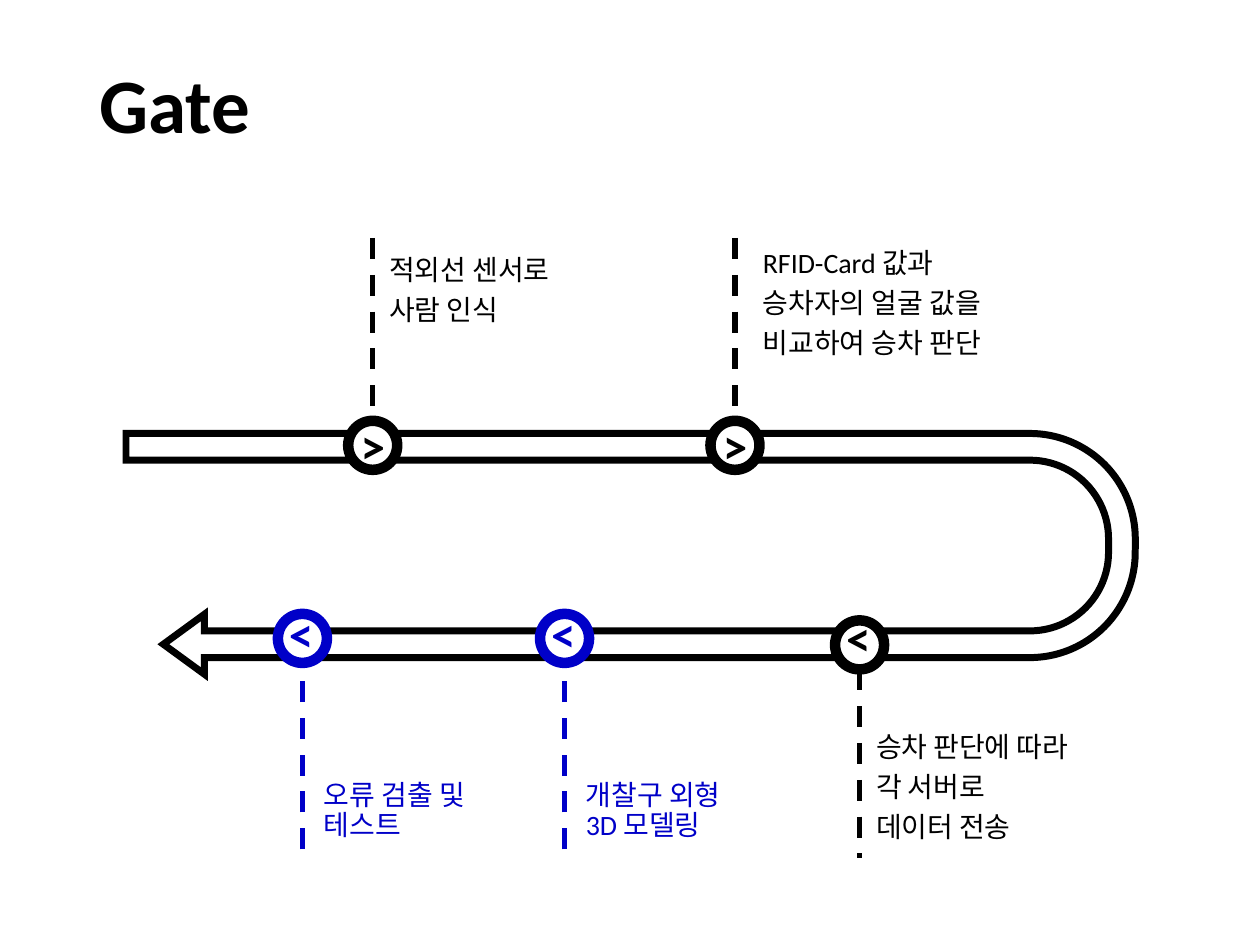
import pptx
import pptx.util
import pptx.dml.color
import pptx.enum.dml
import pptx.enum.shapes
import pptx.enum.text
import pptx.oxml.ns
from lxml import etree

Pt = pptx.util.Pt
ANCHOR = pptx.enum.text.MSO_ANCHOR
SHAPES = pptx.enum.shapes.MSO_SHAPE

# Content
COLORS = {"black": "000000", "blue": "0000C8", "white": "FFFFFF"}
TITLE = "Gate"
STEPS = [
    # centre x, circle top, dash start and end, rotation, chevron lift, colour,
    # label box (left, top, width, height), label anchor, paragraphs
    (213, 240.5, (136, 243.5), 0, 6.5, "black", (213, 137, 121, 60.5), ANCHOR.TOP,
     ["적외선 센서로", "사람 인식"]),
    (420, 240.5, (136, 243.5), 0, 6.5, "black", (426.5, 133.2, 171, 73), ANCHOR.TOP,
     ["RFID-Card 값과", "승차자의 얼굴 값을", "비교하여 승차 판단"]),
    (491.2, 354.5, (382.5, 490.3), 180, 6.5, "black", (491.2, 409.7, 157, 81), ANCHOR.TOP,
     ["승차 판단에 따라", "각 서버로", "데이터 전송"]),
    (322.6, 350.8, (485.3, 378), 180, 5, "blue", (325.4, 431.3, 112.3, 59), ANCHOR.BOTTOM,
     ["개찰구 외형 3D 모델링"]),
    (172.8, 350.8, (485.3, 378), 180, 5, "blue", (175.7, 431.3, 125.3, 59), ANCHOR.BOTTOM,
     ["오류 검출 및 테스트"]),
]
ARROW_BOX = (291.6, 28.1, 137.5, 576.7)
ARROW_ADJUSTMENTS = (0.111, 0.124, 0.17, 0.438, 0.963)
CIRCLE = 28
CHEVRON_WIDTH, CHEVRON_HEIGHT = 27.4, 41
LABEL_INSET = 9.4


def rgb(name):
    return pptx.dml.color.RGBColor.from_string(COLORS[name])


def apply(target, formats):
    for attribute, value in formats.items():
        setattr(target, attribute, value)


def add_outline(slide, kind, box, color, weight, rotation):
    outline = slide.shapes.add_shape(kind, *map(Pt, box))
    outline.shadow.inherit = False
    outline.rotation = rotation
    outline.fill.solid()
    outline.fill.fore_color.rgb = rgb("white")
    outline.line.color.rgb = rgb(color)
    outline.line.width = Pt(weight)
    return outline


def add_text(slide, box, lines, frame_format, paragraph_format, size, color, bold=False):
    holder = slide.shapes.add_textbox(*map(Pt, box))
    frame = holder.text_frame
    apply(frame, frame_format)
    frame.text = "\n".join(lines)
    for paragraph in frame.paragraphs:
        apply(paragraph, paragraph_format)
        for run in paragraph.runs:
            apply(run.font, {"name": "Calibri", "size": Pt(size), "bold": bold})
            run.font.color.rgb = rgb(color)
    return holder


def add_dash(slide, x, start, end, color):
    dash = slide.shapes.add_connector(
        pptx.enum.shapes.MSO_CONNECTOR.STRAIGHT, Pt(x), Pt(start), Pt(x), Pt(end))
    dash.line.color.rgb = rgb(color)
    apply(dash.line, {"width": Pt(3), "dash_style": pptx.enum.dml.MSO_LINE.DASH})
    etree.SubElement(dash._element.spPr, pptx.oxml.ns.qn("a:effectLst"))


def main():
    deck = pptx.Presentation()
    apply(deck, {"slide_width": Pt(720), "slide_height": Pt(540)})
    slide = deck.slides.add_slide(deck.slide_layouts[6])

    # Path with sharp corners
    route = add_outline(slide, SHAPES.U_TURN_ARROW, ARROW_BOX, "black", 4, 90)
    for index, value in enumerate(ARROW_ADJUSTMENTS):
        route.adjustments[index] = value
    miter = etree.SubElement(route.line._get_or_add_ln(), pptx.oxml.ns.qn("a:miter"))
    miter.set("lim", "800000")

    # Title
    add_text(slide, (49.5, 25.2, 620.6, 73.4), [TITLE],
             {"word_wrap": True, "vertical_anchor": ANCHOR.MIDDLE},
             {"line_spacing": 0.9}, 44, "black", True)

    # Steps: circle, chevron, dashed line, label
    label_frame = {f"margin_{side}": Pt(LABEL_INSET)
                   for side in ("left", "top", "right", "bottom")}
    for x, top, (start, end), rotation, lift, color, box, anchor, lines in STEPS:
        left = x - CIRCLE / 2
        add_outline(slide, SHAPES.OVAL, (left, top, CIRCLE, CIRCLE), color, 6, rotation)
        chevron = add_text(
            slide, (left, top - lift, CHEVRON_WIDTH, CHEVRON_HEIGHT), [">"],
            {"word_wrap": False, "auto_size": pptx.enum.text.MSO_AUTO_SIZE.SHAPE_TO_FIT_TEXT},
            {}, 28, color, True)
        chevron.rotation = rotation
        add_dash(slide, x, start, end, color)
        add_text(slide, box, lines,
                 {**label_frame, "word_wrap": True, "vertical_anchor": anchor},
                 {"line_spacing": 0.9, "space_after": Pt(5.6)}, 16, color)

    deck.save("out.pptx")


if __name__ == "__main__":
    main()
